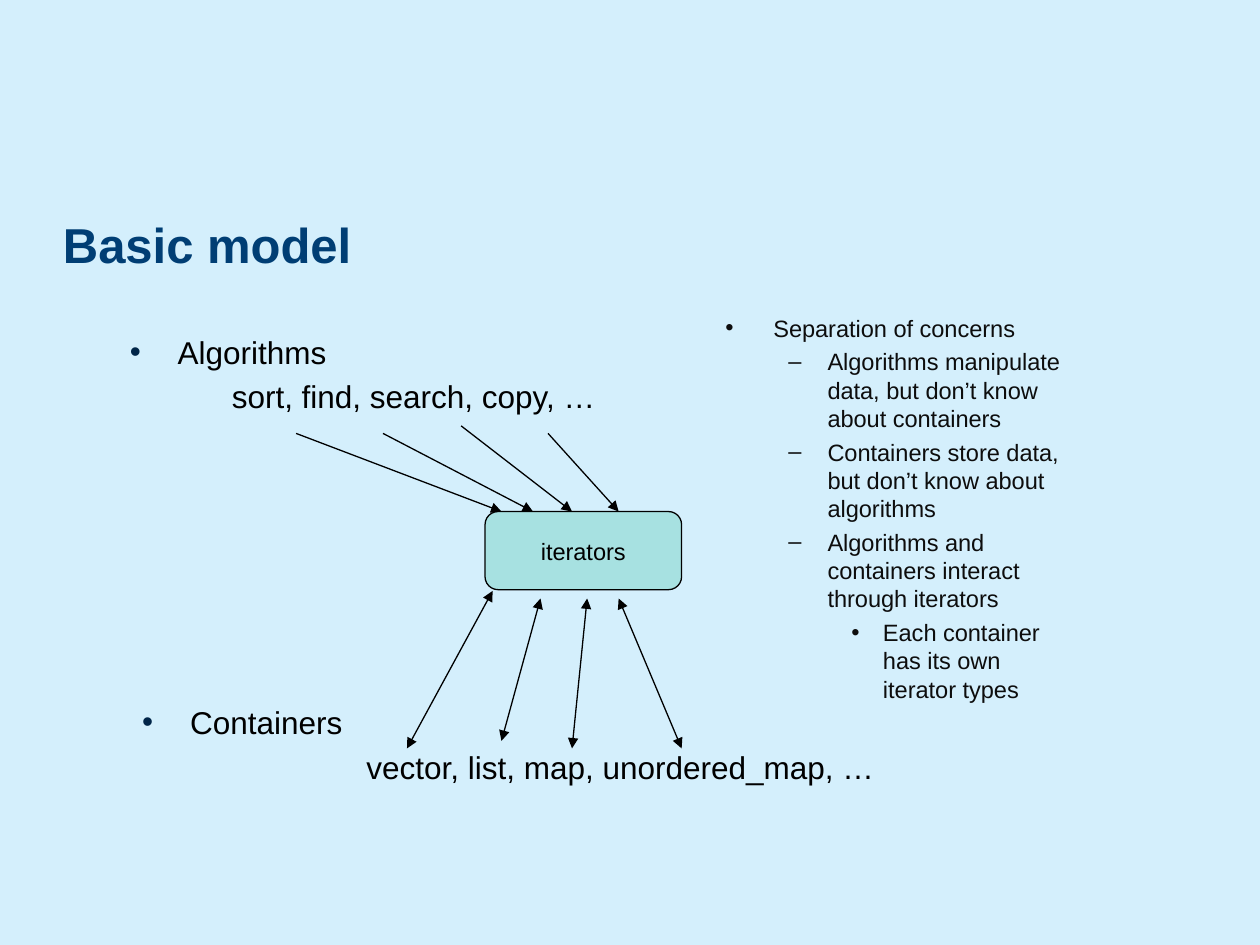
from lxml.etree import SubElement
from pptx import Presentation
from pptx.dml.color import RGBColor
from pptx.enum.shapes import MSO_CONNECTOR, MSO_SHAPE
from pptx.enum.text import MSO_ANCHOR, PP_ALIGN
from pptx.oxml.ns import qn
from pptx.util import Inches, Pt

COLORS = {"background": "D4EFFC", "title": "003E74", "ink": "000000",
          "bullet": "002548", "note": "0D0D0D", "box": "A7E1E1"}

# Paragraphs: (text, left margin, hanging indent, bullet)
ALGORITHMS = [("Algorithms", 0.38, 0.38, "•"),
              ("sort, find, search, copy, …", 0.81, 0, None)]
CONTAINERS = [("Containers", 0.38, 0.38, "•"),
              ("vector, list, map, unordered_map, …", 1.78, 0, None)]
CONCERNS = [
    ("Separation of concerns", 0.38, 0.38, "•"),
    ("Algorithms manipulate data, but don’t know about containers", 0.81, 0.31, "–"),
    ("Containers store data, but don’t know about algorithms", 0.81, 0.31, "–"),
    ("Algorithms and containers interact through iterators", 0.81, 0.31, "–"),
    ("Each container has its own iterator types", 1.25, 0.25, "•"),
]

# Text blocks: paragraphs, (left, top, width, height), inset x and y, size,
# text colour, bullet colour
BLOCKS = [
    (ALGORITHMS, (1.03, 2.64, 6.75, 1.12), (0, 0), 18, "ink", "bullet"),
    (CONTAINERS, (1.03, 5.53, 6.75, 0.96), (0.1, 0.05), 18, "ink", "bullet"),
    (CONCERNS, (5.66, 2.44, 2.94, 3.88), (0.1, 0.05), 13.5, "note", "note"),
]

# Arrows: start x, start y, end x, end y
ALGORITHM_ARROWS = [(2.35, 3.44, 3.98, 4.06), (3.04, 3.44, 4.23, 4.06),
                    (3.66, 3.38, 4.54, 4.06), (4.35, 3.44, 4.91, 4.06)]
CONTAINER_ARROWS = [(5.41, 5.94, 4.91, 4.75), (4.54, 5.94, 4.66, 4.75),
                    (3.98, 5.88, 4.29, 4.75), (3.23, 5.94, 3.91, 4.69)]


def color(name):
    return RGBColor.from_string(COLORS[name])


def style(font, size, name, bold=False):
    font.name, font.size, font.bold = "Arial", Pt(size), bold
    font.color.rgb = color(name)


def add_box(page, place, inset):
    box = page.shapes.add_textbox(*map(Inches, place))
    frame = box.text_frame
    frame.word_wrap = True
    frame.margin_left = frame.margin_right = Inches(inset[0])
    frame.margin_top = frame.margin_bottom = Inches(inset[1])
    return frame


def set_bullet(para, margin, hang, bullet, bullet_color):
    props = para._p.get_or_add_pPr()
    props.set("marL", str(Inches(margin)))
    props.set("indent", str(-Inches(hang)))
    if bullet:
        tint = SubElement(props, qn("a:buClr"))
        SubElement(tint, qn("a:srgbClr"), val=COLORS[bullet_color])
        SubElement(props, qn("a:buFont"), typeface="Arial")
        SubElement(props, qn("a:buChar"), char=bullet)
    else:
        SubElement(props, qn("a:buNone"))


def add_block(page, items, place, inset, size, text_color, bullet_color):
    frame = add_box(page, place, inset)
    frame.text = "\n".join(item[0] for item in items)
    for index, (para, item) in enumerate(zip(frame.paragraphs, items)):
        set_bullet(para, *item[1:], bullet_color)
        if index:
            para.space_before = Pt(round(size * 0.23))
        style(para.runs[0].font, size, text_color)


def add_arrow(page, ends, heads):
    arrow = page.shapes.add_connector(MSO_CONNECTOR.STRAIGHT, *map(Inches, ends))
    arrow.line.color.rgb = color("ink")
    arrow.line.width = Pt(0.75)
    for head in heads:
        SubElement(arrow.line._get_or_add_ln(), qn(head), type="triangle")
    SubElement(arrow._element.spPr, qn("a:effectLst"))


def main():
    deck = Presentation()
    deck.slide_width, deck.slide_height = Inches(10), Inches(7.5)
    page = deck.slides.add_slide(deck.slide_layouts[6])
    page.background.fill.solid()
    page.background.fill.fore_color.rgb = color("background")

    # Title
    title = add_box(page, (0.5, 1.63, 9, 0.56), (0, 0))
    title.margin_top = Inches(0.05)
    title.vertical_anchor = MSO_ANCHOR.MIDDLE
    title.text = "Basic model"
    style(title.paragraphs[0].runs[0].font, 28, "title", bold=True)

    # Lists
    for block in BLOCKS:
        add_block(page, *block)

    # Iterators box
    iterators = page.shapes.add_shape(
        MSO_SHAPE.ROUNDED_RECTANGLE, *map(Inches, (3.85, 4.06, 1.56, 0.62)))
    iterators.shadow.inherit = False
    iterators.fill.solid()
    iterators.fill.fore_color.rgb = color("box")
    iterators.line.color.rgb = color("ink")
    iterators.line.width = Pt(0.75)
    frame = iterators.text_frame
    frame.word_wrap = False
    frame.vertical_anchor = MSO_ANCHOR.MIDDLE
    frame.text = "iterators"
    frame.paragraphs[0].alignment = PP_ALIGN.CENTER
    style(frame.paragraphs[0].runs[0].font, 13.5, "ink")

    # Arrows: one-way from algorithms, two-way with containers
    for ends in ALGORITHM_ARROWS:
        add_arrow(page, ends, ["a:tailEnd"])
    for ends in CONTAINER_ARROWS:
        add_arrow(page, ends, ["a:headEnd", "a:tailEnd"])

    deck.save("out.pptx")


if __name__ == "__main__":
    main()
